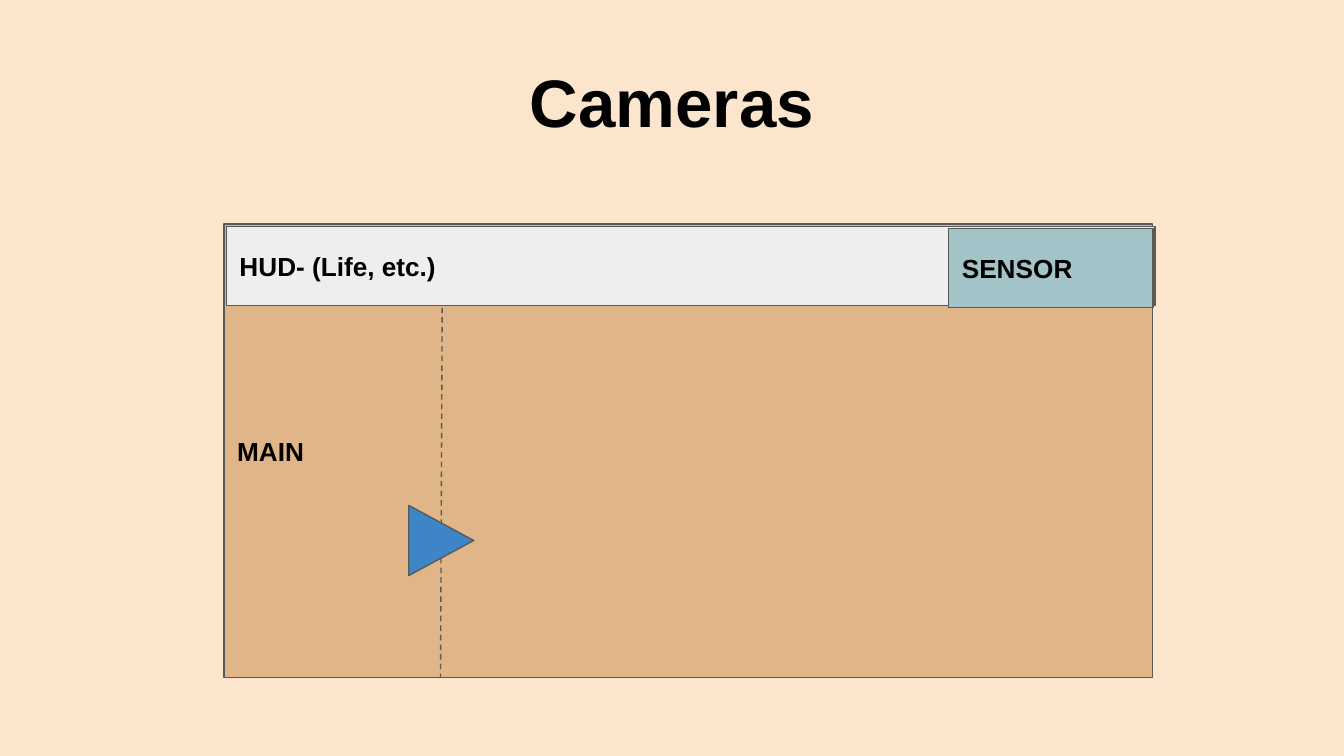
import pptx
import pptx.dml.color
import pptx.enum.dml
import pptx.enum.shapes
import pptx.enum.text
import pptx.oxml.ns
import pptx.util
import lxml.etree

Pt = pptx.util.Pt
SHAPE = pptx.enum.shapes.MSO_SHAPE
ANCHOR = pptx.enum.text.MSO_ANCHOR
ALIGN = pptx.enum.text.PP_ALIGN

# Colours and type sizes
theme = {
    "font": "Arial", "title_size": 36, "label_size": 14, "line_width": 0.75,
    "background": "FCE5CD", "text": "000000", "line": "595959",
    "main": "CD9459", "hud": "EEEEEE", "sensor": "A2C4C9", "player": "3D85C6",
}


def color(name):
    return pptx.dml.color.RGBColor.from_string(theme[name])


def write(shape, text, size, align, anchor):
    frame = shape.text_frame
    frame.text = text
    frame.word_wrap = True
    frame.auto_size = pptx.enum.text.MSO_AUTO_SIZE.NONE
    frame.vertical_anchor = anchor
    frame.margin_left = frame.margin_right = Pt(7.2)
    frame.margin_top = frame.margin_bottom = Pt(7.2)
    para = frame.paragraphs[0]
    para.alignment = align
    font = para.runs[0].font
    font.name = theme["font"]
    font.size = Pt(theme[size])
    font.bold = True
    font.color.rgb = color("text")


# Page
deck = pptx.Presentation()
deck.slide_width, deck.slide_height = Pt(720), Pt(405)
page = deck.slides.add_slide(deck.slide_layouts[0])
page.background.fill.solid()
page.background.fill.fore_color.rgb = color("background")

# Title; the subtitle is not needed
title = page.shapes.title
title.left, title.top, title.width, title.height = Pt(24.5), Pt(20), Pt(671), Pt(62.8)
write(title, "Cameras", "title_size", ALIGN.CENTER, ANCHOR.BOTTOM)
subtitle = page.placeholders[1].element
subtitle.getparent().remove(subtitle)

# Camera areas: fill, label, left, top, width, height
cameras = [
    ("main", "MAIN", 120, 120, 497.5, 243),
    ("hud", "HUD- (Life, etc.)", 121.2, 121.2, 497.5, 42.5),
    ("sensor", "SENSOR", 508.2, 122.3, 109.5, 42.5),
]
areas = {}
for name, label, left, top, width, height in cameras:
    area = page.shapes.add_shape(SHAPE.RECTANGLE, Pt(left), Pt(top), Pt(width), Pt(height))
    area.fill.solid()
    area.fill.fore_color.rgb = color(name)
    write(area, label, "label_size", ALIGN.LEFT, ANCHOR.MIDDLE)
    areas[name] = area

# The main area lets the background through
main_color = areas["main"].element.spPr.find(".//" + pptx.oxml.ns.qn("a:srgbClr"))
lxml.etree.SubElement(main_color, pptx.oxml.ns.qn("a:alpha"), val="59000")

# Dashed tracking line
track = page.shapes.add_connector(
    pptx.enum.shapes.MSO_CONNECTOR.STRAIGHT, Pt(236.9), Pt(164.8), Pt(236), Pt(363))
track.line.dash_style = pptx.enum.dml.MSO_LINE.DASH
lxml.etree.SubElement(track.element.spPr, pptx.oxml.ns.qn("a:effectLst"))

# Player triangle pointing right
player = page.shapes.add_shape(
    SHAPE.ISOSCELES_TRIANGLE, Pt(217.6), Pt(272.2), Pt(37.6), Pt(34.8))
player.rotation = 90
player.fill.solid()
player.fill.fore_color.rgb = color("player")

# Shared outline
for shape in [*areas.values(), track, player]:
    shape.line.color.rgb = color("line")
    shape.line.width = Pt(theme["line_width"])
for shape in [*areas.values(), player]:
    shape.shadow.inherit = False

deck.save("out.pptx")
